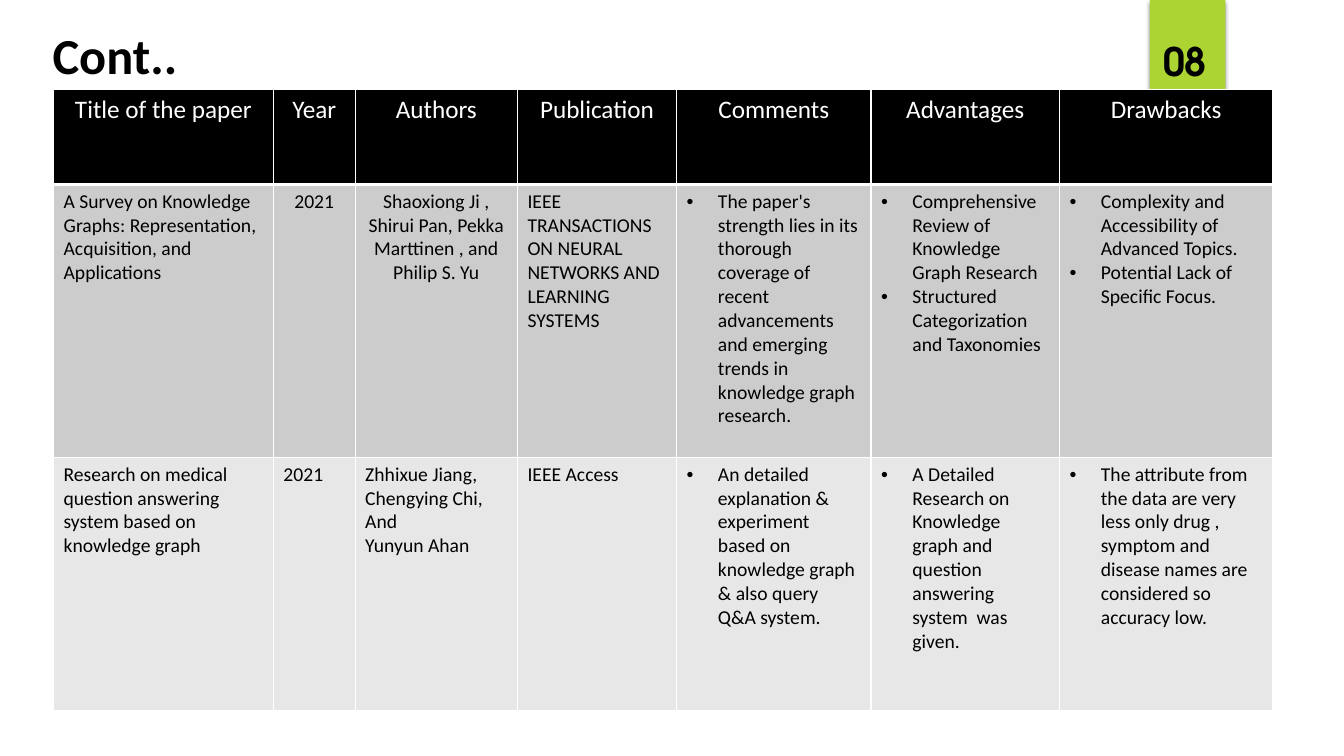
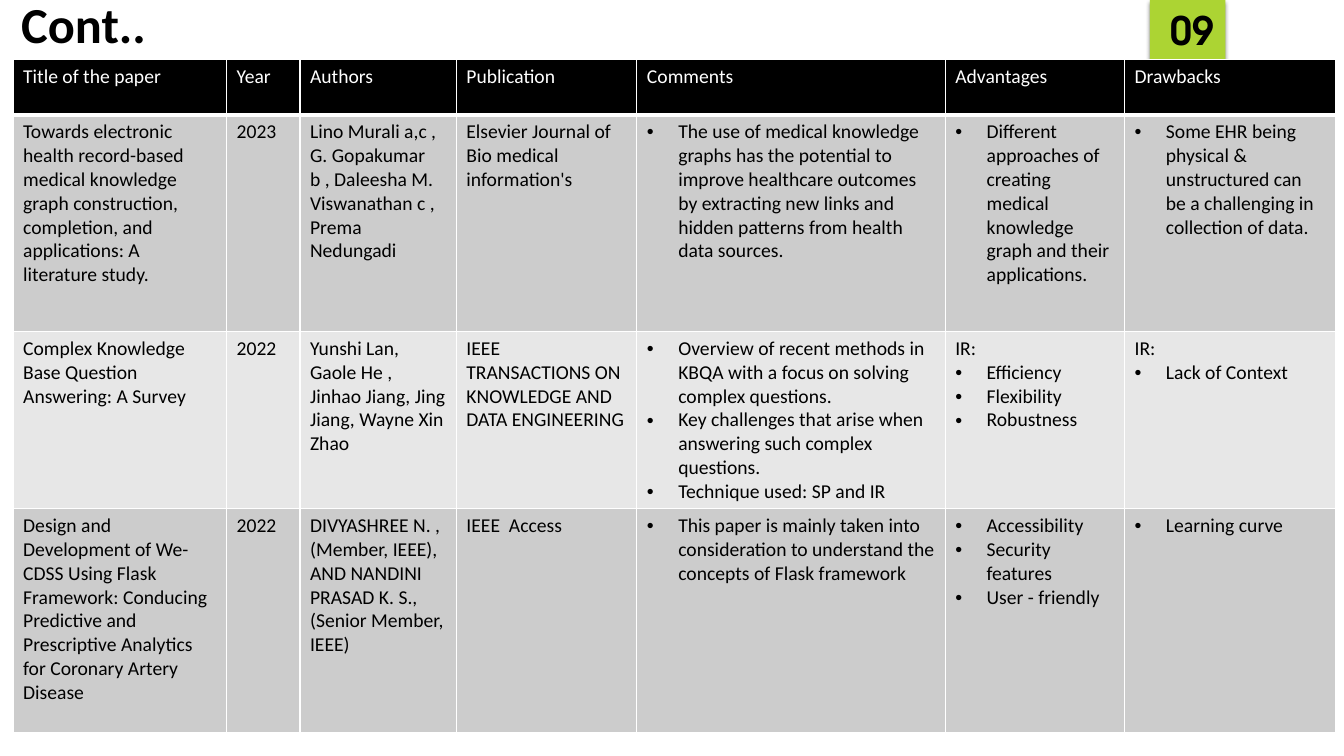
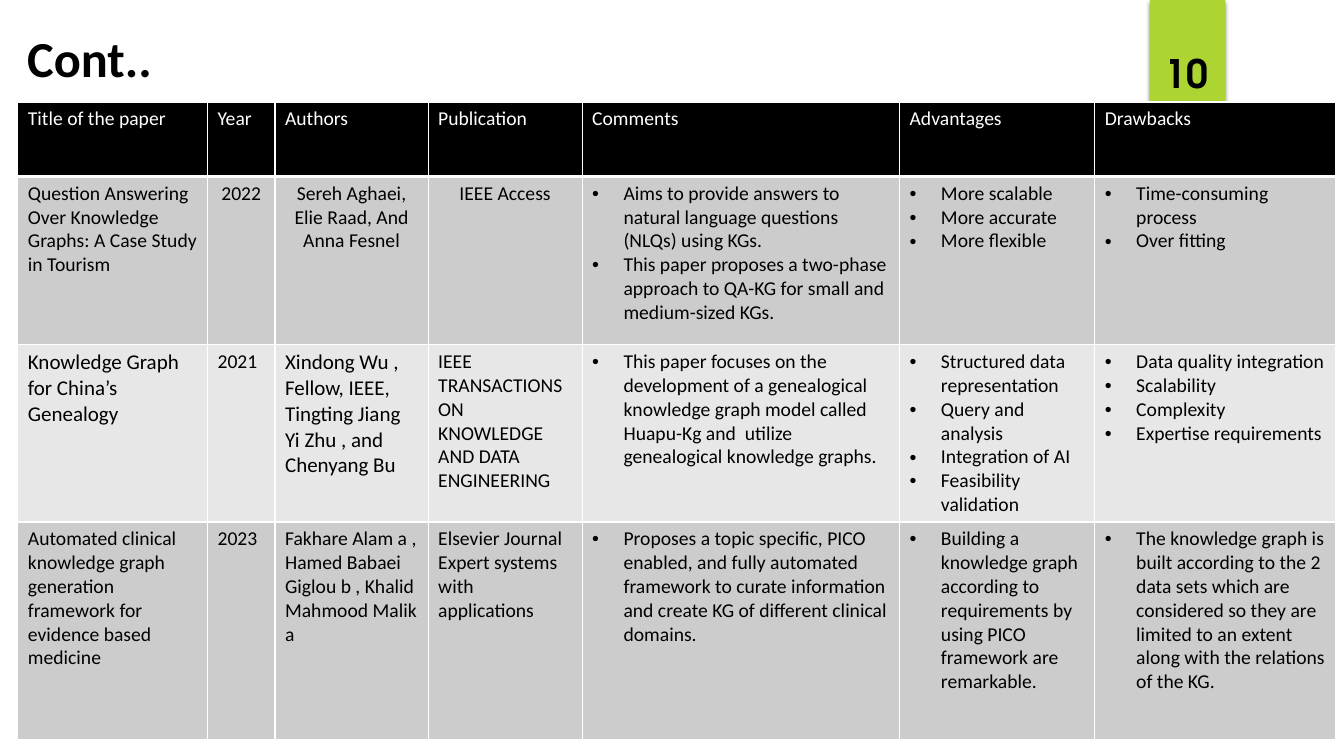
import pptx
import pptx.dml.color
import pptx.enum.shapes
import pptx.enum.text
import pptx.oxml
import pptx.oxml.ns
import pptx.util
from dataclasses import dataclass

Cm = pptx.util.Cm
Pt = pptx.util.Pt
ALIGN = pptx.enum.text.PP_ALIGN
NAMESPACE = pptx.oxml.ns.nsdecls("a")


@dataclass(frozen=True)
class Theme:
    ink: str = "000000"
    paper: str = "FFFFFF"
    tab: str = "ACD433"
    bands: tuple = ("CCCCCC", "E7E7E7")
    text_font: str = "Calibri"
    number_font: str = "TeX Gyre Adventor"
    title_size: float = 36
    number_size: float = 28
    body_size: float = 14
    large_size: float = 15
    line: float = 1
    header_line: float = 3


THEME = Theme()
BULLET = "• "
TITLE = "Cont.."
HEADINGS = ["Title of the paper", "Year", "Authors", "Publication",
            "Comments", "Advantages", "Drawbacks"]

# Lengths are centimetres. A cell is a text or a list of lines.
# "centred" and "large" hold (row, column) positions; row 0 is the header.
SURVEYS = [
    {
        "number": "08", "number_at": (29.06, 0.81),
        "title_at": (1.07, 0.48), "table_at": (1.35, 2.26),
        "columns": [5.54, 2.06, 4.09, 4.01, 4.9, 4.75, 5.38],
        "rows": [2.39, 6.88, 6.38],
        "header_size": 18,
        "centred": {(0, column) for column in range(7)} | {(1, 1), (1, 2)},
        "large": set(),
        "papers": [
            ["A Survey on Knowledge Graphs: Representation, Acquisition, and Applications",
             "2021",
             "Shaoxiong Ji , Shirui Pan, Pekka Marttinen , and Philip S. Yu",
             "IEEE TRANSACTIONS ON NEURAL NETWORKS AND LEARNING SYSTEMS",
             "• The paper's strength lies in its thorough coverage of recent advancements "
             "and emerging trends in knowledge graph research.",
             ["• Comprehensive Review of Knowledge Graph Research",
              "• Structured Categorization and Taxonomies"],
             ["• Complexity and Accessibility of Advanced Topics.",
              "• Potential Lack of Specific Focus."]],
            ["Research on medical question answering system based on knowledge graph",
             "2021",
             ["Zhhixue Jiang, Chengying Chi, And", "Yunyun Ahan"],
             "IEEE Access",
             "• An detailed explanation & experiment based on knowledge graph "
             "& also query Q&A system.",
             "• A Detailed Research on Knowledge graph and question answering "
             "system  was given.",
             "• The attribute from the data are very less only drug , symptom and "
             "disease names are considered so accuracy low."],
        ],
    },
    {
        "number": "09", "number_at": (29.24, 0.03),
        "title_at": (0.28, -0.3), "table_at": (0.33, 1.5),
        "columns": [5.38, 1.85, 3.94, 4.55, 7.77, 4.52, 5.31],
        "rows": [1.4, 5.46, 4.42, 5.64],
        "header_size": 14, "centred": set(), "large": set(),
        "papers": [
            ["Towards electronic health record-based medical knowledge graph "
             "construction, completion, and applications: A literature study.",
             "2023",
             "Lino Murali a,c , G. Gopakumar b , Daleesha M. Viswanathan c , Prema Nedungadi",
             "Elsevier Journal of Bio medical information's",
             "• The use of medical knowledge graphs has the potential to improve "
             "healthcare outcomes by extracting new links and hidden patterns from "
             "health data sources.",
             "• Different approaches of creating medical knowledge graph and their "
             "applications.",
             "• Some EHR being physical & unstructured can be a challenging in "
             "collection of data."],
            ["Complex Knowledge Base Question Answering: A Survey",
             "2022",
             "Yunshi Lan, Gaole He , Jinhao Jiang, Jing Jiang, Wayne Xin Zhao",
             "IEEE TRANSACTIONS ON KNOWLEDGE AND DATA ENGINEERING",
             ["• Overview of recent methods in KBQA with a focus on solving complex questions.",
              "• Key challenges that arise when answering such complex questions.",
              "• Technique used: SP and IR"],
             ["IR:", "• Efficiency", "• Flexibility", "• Robustness"],
             ["IR:", "• Lack of Context"]],
            ["Design and Development of We-CDSS Using Flask Framework: Conducing "
             "Predictive and Prescriptive Analytics for Coronary Artery Disease",
             "2022",
             "DIVYASHREE N. , (Member, IEEE), AND NANDINI PRASAD K. S., (Senior Member, IEEE)",
             "IEEE  Access",
             "• This paper is mainly taken into consideration to understand the "
             "concepts of Flask framework",
             ["• Accessibility", "• Security features", "• User - friendly"],
             "• Learning curve"],
        ],
    },
    {
        "number": "10", "number_at": (29.11, 1.12),
        "title_at": (0.43, 0.56), "table_at": (0.45, 2.57),
        "columns": [4.78, 1.7, 3.86, 3.88, 8, 4.92, 6.07],
        "rows": [1.88, 4.24, 4.42, 5.48],
        "header_size": 14,
        "centred": {(1, 1), (1, 2), (1, 3)},
        "large": {(2, 0), (2, 2)},
        "papers": [
            ["Question Answering Over Knowledge Graphs: A Case Study in Tourism",
             "2022",
             "Sereh Aghaei, Elie Raad, And Anna Fesnel",
             "IEEE Access",
             ["• Aims to provide answers to natural language questions (NLQs) using KGs.",
              "• This paper proposes a two-phase approach to QA-KG for small and "
              "medium-sized KGs."],
             ["• More scalable", "• More accurate", "• More flexible"],
             ["• Time-consuming process", "• Over fitting"]],
            ["Knowledge Graph for China’s Genealogy",
             "2021",
             "Xindong Wu , Fellow, IEEE, Tingting Jiang Yi Zhu , and Chenyang Bu",
             "IEEE TRANSACTIONS ON KNOWLEDGE AND DATA ENGINEERING",
             "• This paper focuses on the development of a genealogical knowledge graph "
             "model called Huapu-Kg and  utilize genealogical knowledge graphs.",
             ["• Structured data representation", "• Query and analysis",
              "• Integration of AI", "• Feasibility validation"],
             ["• Data quality integration", "• Scalability", "• Complexity",
              "• Expertise requirements"]],
            ["Automated clinical knowledge graph generation framework for evidence "
             "based medicine",
             "2023",
             "Fakhare Alam a , Hamed Babaei Giglou b , Khalid Mahmood Malik a",
             "Elsevier Journal Expert systems with applications",
             "• Proposes a topic specific, PICO enabled, and fully automated framework "
             "to curate information and create KG of different clinical domains.",
             "• Building a knowledge graph according to requirements by using PICO "
             "framework are remarkable.",
             "• The knowledge graph is built according to the 2 data sets which are "
             "considered so they are limited to an extent along with the relations of the KG."],
        ],
    },
]


def rgb(color):
    return pptx.dml.color.RGBColor.from_string(color)


def format_runs(paragraph, size, color, font=THEME.text_font, bold=False):
    for span in paragraph.runs:
        span.font.name = font
        span.font.size = Pt(size)
        span.font.bold = bold
        span.font.color.rgb = rgb(color)


def add_bullet(paragraph):
    properties = paragraph._p.get_or_add_pPr()
    properties.set("marL", str(Cm(0.79)))
    properties.set("indent", str(-Cm(0.79)))
    for tag in ('buFont typeface="Arial"', 'buChar char="•"'):
        properties.append(pptx.oxml.parse_xml(f"<a:{tag} {NAMESPACE}/>"))


def set_borders(cell, bottom):
    properties = cell._tc.get_or_add_tcPr()
    widths = {"lnL": THEME.line, "lnR": THEME.line, "lnT": THEME.line, "lnB": bottom}
    for side, width in widths.items():
        properties.append(pptx.oxml.parse_xml(
            f'<a:{side} {NAMESPACE} w="{Pt(width)}"><a:solidFill>'
            f'<a:srgbClr val="{THEME.paper}"/></a:solidFill></a:{side}>'))


def fill_cell(cell, content, size, color, fill, centred, bottom):
    set_borders(cell, bottom)
    cell.fill.solid()
    cell.fill.fore_color.rgb = rgb(fill)
    lines = [content] if isinstance(content, str) else content
    cell.text_frame.text = "\n".join(line.removeprefix(BULLET) for line in lines)
    for line, paragraph in zip(lines, cell.text_frame.paragraphs):
        paragraph.alignment = ALIGN.CENTER if centred else ALIGN.LEFT
        if line.startswith(BULLET):
            add_bullet(paragraph)
        format_runs(paragraph, size, color)


def add_survey_table(page, survey):
    columns, rows = survey["columns"], survey["rows"]
    left, top = survey["table_at"]
    table = page.shapes.add_table(len(rows), len(columns), Cm(left), Cm(top),
                                  Cm(sum(columns)), Cm(sum(rows))).table
    for column, width in zip(table.columns, columns):
        column.width = Cm(width)
    for row, height in zip(table.rows, rows):
        row.height = Cm(height)
    for row, contents in enumerate([HEADINGS] + survey["papers"]):
        for column, content in enumerate(contents):
            place = (row, column)
            if row == 0:
                size, color, fill = survey["header_size"], THEME.paper, THEME.ink
            else:
                size = THEME.large_size if place in survey["large"] else THEME.body_size
                color, fill = THEME.ink, THEME.bands[(row - 1) % 2]
            fill_cell(table.cell(row, column), content, size, color, fill,
                      place in survey["centred"],
                      THEME.line if row else THEME.header_line)


def set_heading(box, text, at, extent, size, font):
    """Place a box and give it one line of bold text, from its top left."""
    box.left, box.top, box.width, box.height = (Cm(length) for length in (*at, *extent))
    frame = box.text_frame
    frame.text = text
    frame.word_wrap = True
    frame.auto_size = pptx.enum.text.MSO_AUTO_SIZE.NONE
    frame.vertical_anchor = pptx.enum.text.MSO_ANCHOR.TOP
    frame.paragraphs[0].alignment = ALIGN.LEFT
    format_runs(frame.paragraphs[0], size, THEME.ink, font, bold=True)


def move_tab_to_layout(page):
    """Draw the green page tab and hand it to the layout, so every page shows it."""
    tab = page.shapes.add_shape(pptx.enum.shapes.MSO_SHAPE.RECTANGLE,
                                Cm(28.98), Cm(0), Cm(1.9), Cm(3.18))
    tab.fill.solid()
    tab.fill.fore_color.rgb = rgb(THEME.tab)
    tab.line.fill.background()
    tab.shadow.inherit = False
    effects = tab.element.spPr.find(pptx.oxml.ns.qn("a:effectLst"))
    effects.append(pptx.oxml.parse_xml(
        f'<a:outerShdw {NAMESPACE} blurRad="{Pt(3)}" dist="{Pt(2)}" dir="5400000">'
        f'<a:srgbClr val="{THEME.ink}"><a:alpha val="45000"/></a:srgbClr></a:outerShdw>'))
    page.slide_layout.shapes.element.append(tab.element)


def main():
    deck = pptx.Presentation()
    deck.slide_width, deck.slide_height = Cm(33.87), Cm(19.05)
    layout = deck.slide_layouts.get_by_name("Title Only")
    for index, survey in enumerate(SURVEYS):
        page = deck.slides.add_slide(layout)
        if index == 0:
            move_tab_to_layout(page)
        set_heading(page.shapes.title, TITLE, survey["title_at"], (16.94, 1.8),
                    THEME.title_size, THEME.text_font)
        add_survey_table(page, survey)
        number = page.shapes.add_textbox(0, 0, 0, 0)
        set_heading(number, survey["number"], survey["number_at"], (2.2, 1.45),
                    THEME.number_size, THEME.number_font)
    deck.save("out.pptx")


if __name__ == "__main__":
    main()
